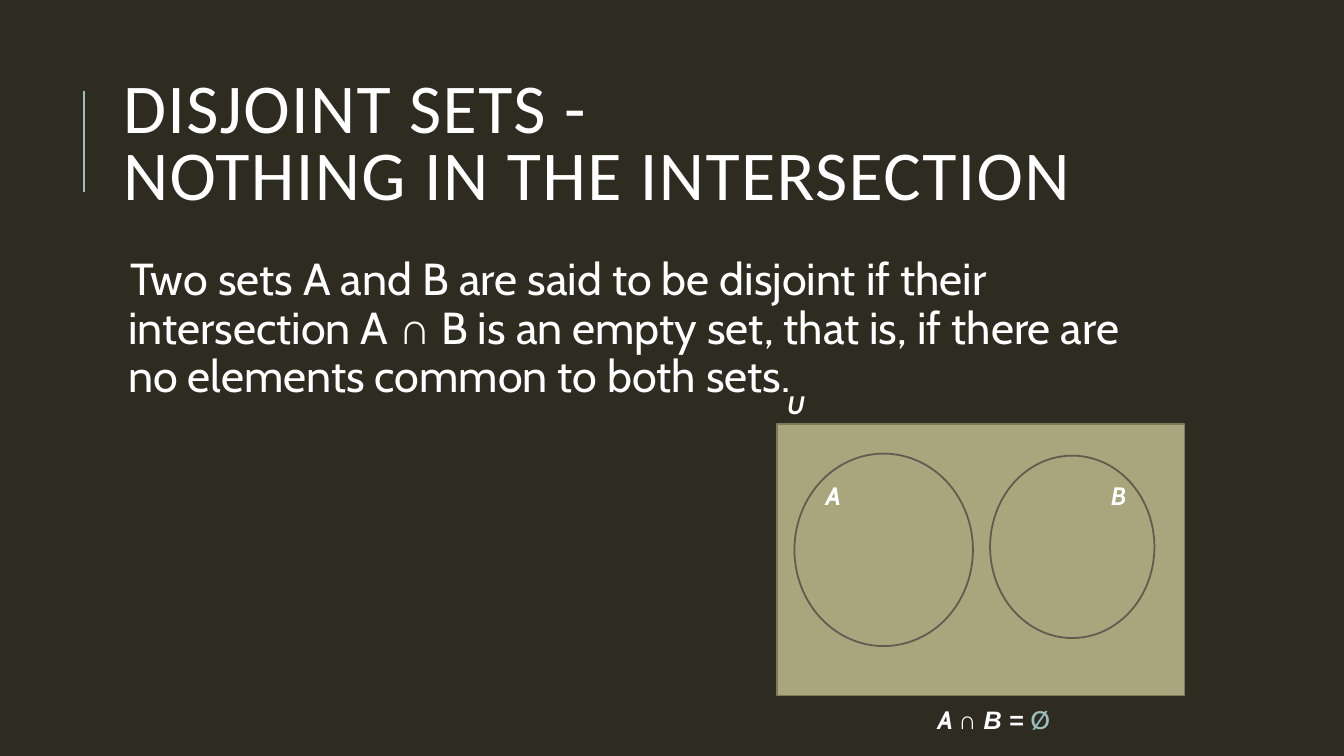
from lxml import etree
from pptx import Presentation
from pptx.dml.color import RGBColor
from pptx.enum.shapes import MSO_CONNECTOR, MSO_SHAPE
from pptx.enum.text import MSO_ANCHOR, MSO_AUTO_SIZE, PP_ALIGN
from pptx.oxml.ns import qn
from pptx.util import Inches, Pt

RECTANGLE, OVAL = MSO_SHAPE.RECTANGLE, MSO_SHAPE.OVAL
STRAIGHT = MSO_CONNECTOR.STRAIGHT
MIDDLE, TOP = MSO_ANCHOR.MIDDLE, MSO_ANCHOR.TOP
LEFT = PP_ALIGN.LEFT
NO_FIT, GROW = MSO_AUTO_SIZE.NONE, MSO_AUTO_SIZE.SHAPE_TO_FIT_TEXT

COLORS = {
    "background": "2E2B21",
    "text": "FFFFFF",
    "accent": "9CBEBD",
    "universe": "A9A57C",
    "universe_edge": "7D7A5C",
    "set_edge": "605B4F",
}
HEADING_FONT, BODY_FONT, SYMBOL_FONT = "Calibri", "Cabin", "Arial"
LABEL_HEIGHT = 0.4


def color(name):
    return RGBColor.from_string(COLORS[name])


def place(shape, left, top, width, height):
    shape.left, shape.top = Inches(left), Inches(top)
    shape.width, shape.height = Inches(width), Inches(height)


def style(font, face, size, color_name="text"):
    font.name, font.size = face, Pt(size)
    font.color.rgb = color(color_name)


def add_title(slide, box):
    left, top, width, height = box
    rule_x = Inches(left - 0.29)
    rule = slide.shapes.add_connector(
        STRAIGHT, rule_x, Inches(top + 1.26), rule_x, Inches(top + 0.26))
    rule.line.color.rgb, rule.line.width = color("accent"), Pt(1.5)
    etree.SubElement(rule._element.spPr, qn("a:effectLst"))

    title = slide.shapes.title
    place(title, *box)
    frame = title.text_frame
    frame.auto_size, frame.vertical_anchor = NO_FIT, MIDDLE
    heading = frame.paragraphs[0]
    heading.text = "DISJOINT SETS -\vNOTHING IN THE INTERSECTION"
    heading.alignment, heading.line_spacing = LEFT, 0.8
    style(heading.font, HEADING_FONT, 50)
    for run in heading.runs:
        style(run.font, HEADING_FONT, 50)
        run.font._element.set("spc", "100")


def add_definition(slide, box):
    body = slide.placeholders[1]
    place(body, *box)
    frame = body.text_frame
    frame.auto_size, frame.vertical_anchor = NO_FIT, TOP
    frame.margin_left = frame.margin_right = Inches(0.05)
    frame.margin_top = frame.margin_bottom = Inches(0.05)
    definition = frame.paragraphs[0]
    definition.line_spacing = 0.9
    definition.space_before, definition.space_after = Pt(12), Pt(2)
    for words, face in (
        ("Two sets A and B are said to be disjoint if their intersection A ", BODY_FONT),
        ("∩", SYMBOL_FONT),
        (" B is an empty set, that is, if there are no elements common to both sets.", BODY_FONT),
    ):
        run = definition.add_run()
        run.text = words
        style(run.font, face, 32)
    properties = definition._p.get_or_add_pPr()
    properties.set("marL", str(Inches(0.1)))
    properties.set("indent", str(-Inches(0.1)))
    bullet_color = etree.SubElement(properties, qn("a:buClr"))
    etree.SubElement(bullet_color, qn("a:srgbClr"), val=COLORS["accent"])
    etree.SubElement(properties, qn("a:buChar"), char=" ")


def add_label(shapes, left, top, width, parts):
    label = shapes.add_textbox(*map(Inches, (left, top, width, LABEL_HEIGHT)))
    frame = label.text_frame
    frame.word_wrap, frame.auto_size = False, GROW
    for words, face, color_name, emphasis in parts:
        run = frame.paragraphs[0].add_run()
        run.text = words
        style(run.font, face, 18, color_name)
        run.font.bold = run.font.italic = emphasis


def add_outline(shapes, kind, box, edge, fill=None):
    outline = shapes.add_shape(kind, *map(Inches, box))
    outline.shadow.inherit = False
    if fill:
        outline.fill.solid()
        outline.fill.fore_color.rgb = color(fill)
    else:
        outline.fill.background()
    outline.line.color.rgb, outline.line.width = color(edge), Pt(1.25)


def add_venn_diagram(slide, box):
    left, top, width, height = box
    universe = slide.shapes.add_group_shape().shapes
    add_outline(universe, RECTANGLE, box, "universe_edge", "universe")
    add_label(universe, left, top - LABEL_HEIGHT, 0.36,
              [("U", BODY_FONT, "text", True)])

    for name, x, y, set_width, set_height, label_x, label_width in (
        ("A", 0.17, 0.29, 1.77, 1.91, 0.38, 0.48),
        ("B", 2.11, 0.31, 1.63, 1.81, 3.21, 0.34),
    ):
        add_outline(slide.shapes, OVAL,
                    (left + x, top + y, set_width, set_height), "set_edge")
        add_label(slide.shapes, left + label_x, top + 0.51, label_width,
                  [(name, BODY_FONT, "text", True)])

    add_label(slide.shapes, left + 1.49, top + height + 0.04, 1.42, [
        ("A ", BODY_FONT, "text", True),
        ("∩ B = ", SYMBOL_FONT, "text", True),
        ("Ø", BODY_FONT, "accent", False),
    ])


def main():
    deck = Presentation()
    deck.slide_width, deck.slide_height = Inches(13.33), Inches(7.5)
    slide = deck.slides.add_slide(deck.slide_layouts[1])
    slide.background.fill.solid()
    slide.background.fill.fore_color.rgb = color("background")
    add_title(slide, (1.12, 0.64, 10.63, 1.64))
    add_definition(slide, (1.12, 2.5, 10.63, 4.4))
    add_venn_diagram(slide, (7.71, 4.21, 4.04, 2.69))
    deck.save("out.pptx")


if __name__ == "__main__":
    main()
